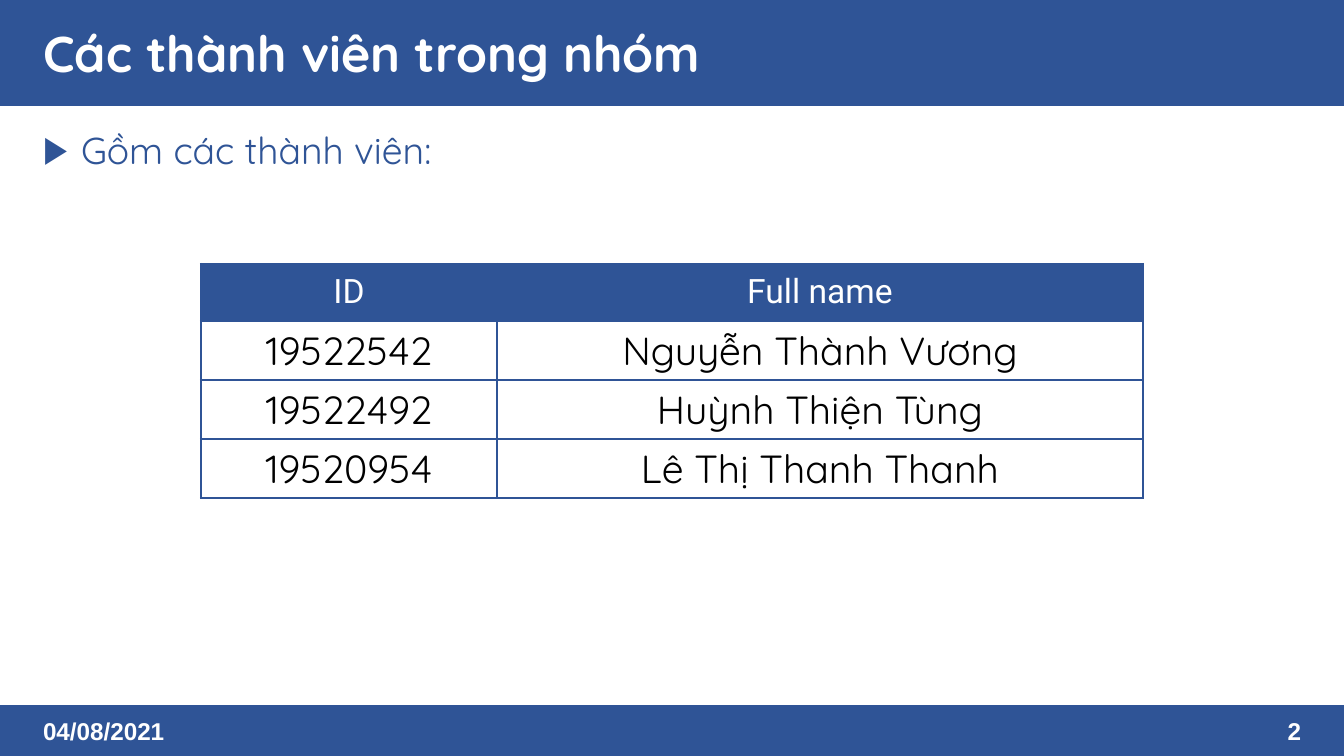
import pptx
import pptx.util
import pptx.dml.color
import pptx.enum.shapes
import pptx.enum.text
import pptx.oxml
import pptx.oxml.ns
from lxml import etree

# Content
TITLE = "Các thành viên trong nhóm"
INTRO = "Gồm các thành viên:"
MEMBERS = [
    ("ID", "Full name"),
    ("19522542", "Nguyễn Thành Vương"),
    ("19522492", "Huỳnh Thiện Tùng"),
    ("19520954", "Lê Thị Thanh Thanh"),
]
DATE, PAGE = "04/08/2021", "2"

# Theme and layout, lengths in px
BLUE, WHITE, BLACK = "2F5496", "FFFFFF", "000000"
THEME = {
    "title": {"name": "Quicksand", "size": 27, "bold": True, "color": WHITE},
    "intro": {"name": "Quicksand", "size": 20, "bold": False, "color": BLUE},
    "header": {"name": "Roboto", "size": 18, "bold": False, "color": WHITE},
    "member": {"name": "Quicksand", "size": 21, "bold": False, "color": BLACK},
    "footer": {"name": "Arial", "size": 13, "bold": True, "color": WHITE},
}
WIDTH, HEIGHT, MARGIN = 1344, 756, 34
TOP_BAND, BOTTOM_BAND = 105, 50
FOOTER_WIDTH, FOOTER_HEIGHT, FOOTER_TOP = 226, 40, 711
COLUMNS, ROWS = [296, 646], [57, 51, 51, 51]
TABLE_TOP, BORDER = 264, 1.5
INSETS = {"margin_left": 9, "margin_right": 9, "margin_top": 5, "margin_bottom": 5}
CELL_INSETS = {**INSETS, "margin_left": 11, "margin_right": 11}
ALIGN = pptx.enum.text.PP_ALIGN
ANCHOR = pptx.enum.text.MSO_ANCHOR


def px(length):
    return pptx.util.Emu(round(length * 914400 / 134.4))


def rgb(value):
    return pptx.dml.color.RGBColor.from_string(value)


def place(shape, left, top, width, height):
    box = {"left": left, "top": top, "width": width, "height": height}
    for side, length in box.items():
        setattr(shape, side, px(length))


def set_insets(target, insets):
    for side, length in insets.items():
        setattr(target, side, px(length))


def write(frame, text, style, align):
    paragraph = frame.paragraphs[0]
    paragraph.alignment = align
    paragraph.space_before = pptx.util.Pt(0)
    run = paragraph.add_run()
    run.text = text
    look = THEME[style]
    values = {"name": look["name"], "size": pptx.util.Pt(look["size"]), "bold": look["bold"]}
    for key, value in values.items():
        setattr(run.font, key, value)
    run.font.color.rgb = rgb(look["color"])
    return paragraph


def fill_box(shape, text, style, align, anchor):
    frame = shape.text_frame
    frame.word_wrap = True
    frame.auto_size = pptx.enum.text.MSO_AUTO_SIZE.NONE
    frame.vertical_anchor = anchor
    set_insets(frame, INSETS)
    return write(frame, text, style, align)


def add_xml(parent, tag, **attributes):
    child = etree.SubElement(parent, pptx.oxml.ns.qn(tag))
    for key, value in attributes.items():
        child.set(key, value)
    return child


def add_bullet(paragraph):
    properties = paragraph._p.get_or_add_pPr()
    properties.set("marL", str(px(38)))
    properties.set("indent", str(-px(38)))
    add_xml(add_xml(properties, "a:buClr"), "a:srgbClr", val=BLUE)
    add_xml(properties, "a:buFont", typeface="Arial")
    add_xml(properties, "a:buChar", char="▶")


def add_borders(cell):
    properties = cell._tc.get_or_add_tcPr()
    for position, side in enumerate(("a:lnL", "a:lnR", "a:lnT", "a:lnB")):
        line = add_xml(properties, side, w=str(pptx.util.Pt(BORDER)))
        add_xml(add_xml(line, "a:solidFill"), "a:srgbClr", val=BLUE)
        properties.insert(position, line)


def main():
    deck = pptx.Presentation()
    deck.slide_width, deck.slide_height = px(WIDTH), px(HEIGHT)
    slide = deck.slides.add_slide(deck.slide_layouts[1])
    shapes = slide.shapes
    title, intro = slide.placeholders
    inner = WIDTH - 2 * MARGIN

    # Bands behind the text
    bands = [(HEIGHT - BOTTOM_BAND, BOTTOM_BAND), (0, TOP_BAND)]
    for depth, (top, height) in enumerate(bands, start=2):
        band = shapes.add_shape(pptx.enum.shapes.MSO_SHAPE.RECTANGLE, 0, 0, 0, 0)
        place(band, 0, top, WIDTH, height)
        band.shadow.inherit = False
        band.fill.solid()
        band.fill.fore_color.rgb = rgb(BLUE)
        band.line.color.rgb = rgb(BLUE)
        band.line.width = pptx.util.Pt(1)
        shapes._spTree.insert(depth, band._element)

    # Title and list
    place(title, MARGIN, 0, inner, 104)
    fill_box(title, TITLE, "title", ALIGN.LEFT, ANCHOR.MIDDLE)
    place(intro, MARGIN, 122, inner, 570)
    add_bullet(fill_box(intro, INTRO, "intro", ALIGN.LEFT, ANCHOR.TOP))

    # Member table, centred on the slide
    table_left = (WIDTH - sum(COLUMNS)) / 2
    table = shapes.add_table(
        len(ROWS), len(COLUMNS),
        px(table_left), px(TABLE_TOP), px(sum(COLUMNS)), px(sum(ROWS)),
    ).table
    table.first_row = table.horz_banding = False
    for column, width in zip(table.columns, COLUMNS):
        column.width = px(width)
    for index, (row, height, member) in enumerate(zip(table.rows, ROWS, MEMBERS)):
        row.height = px(height)
        for cell, text in zip(row.cells, member):
            if index == 0:
                cell.fill.solid()
                cell.fill.fore_color.rgb = rgb(BLUE)
            else:
                cell.fill.background()
            cell.vertical_anchor = ANCHOR.MIDDLE
            set_insets(cell, CELL_INSETS)
            add_borders(cell)
            write(cell.text_frame, text, "member" if index else "header", ALIGN.CENTER)

    # Date and page number
    footers = [
        (DATE, MARGIN, ALIGN.LEFT),
        (PAGE, WIDTH - MARGIN - FOOTER_WIDTH, ALIGN.RIGHT),
    ]
    for text, left, align in footers:
        footer = shapes.add_textbox(0, 0, 0, 0)
        place(footer, left, FOOTER_TOP, FOOTER_WIDTH, FOOTER_HEIGHT)
        fill_box(footer, text, "footer", align, ANCHOR.MIDDLE)

    deck.save("out.pptx")


if __name__ == "__main__":
    main()
